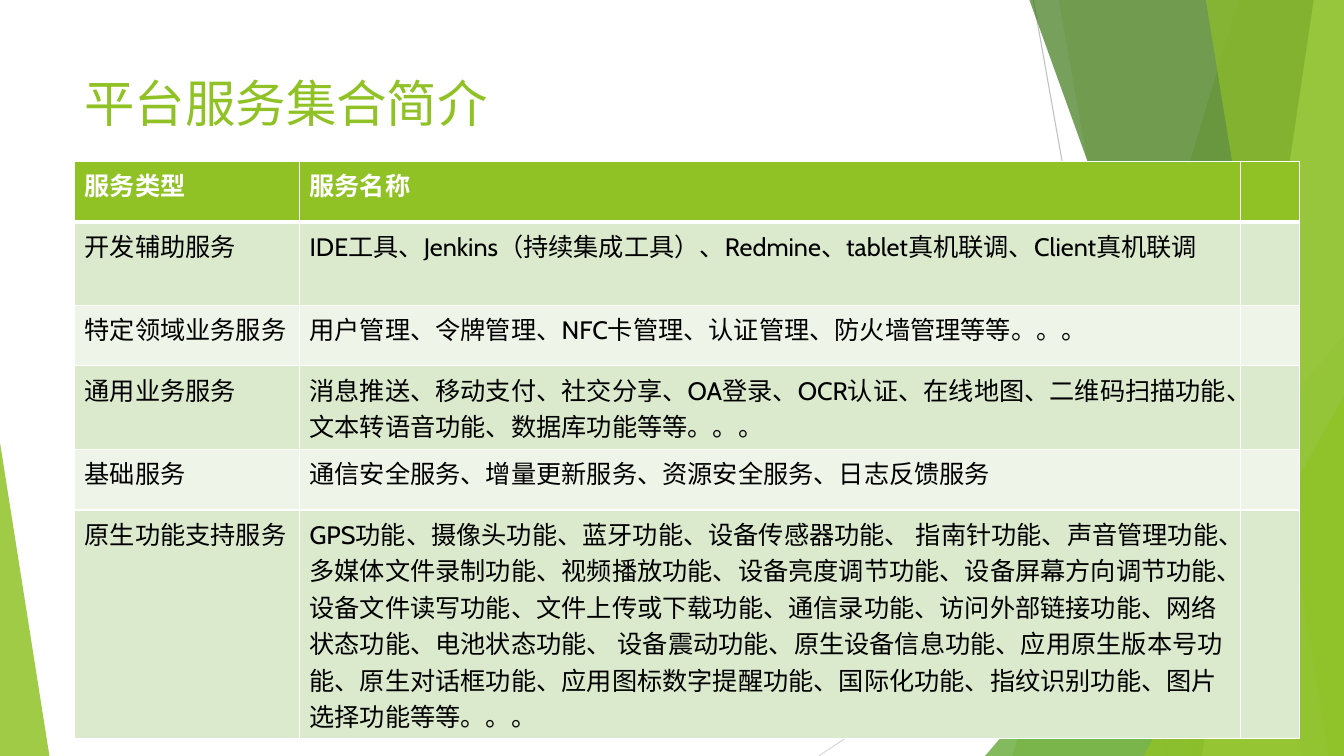
from dataclasses import dataclass

from lxml import etree
from pptx import Presentation
from pptx.dml.color import RGBColor
from pptx.enum import shapes, text
from pptx.oxml import ns
from pptx.util import Inches, Pt


@dataclass(frozen=True)
class Theme:
    font: str = "Cabin"
    title_size: int = 36
    body_size: int = 18
    green: str = "90C226"
    leaf: str = "54A021"
    forest: str = "3F7819"
    lime: str = "C0E474"
    band_dark: str = "DBE9CD"
    band_light: str = "EEF4E8"
    white: str = "FFFFFF"
    black: str = "000000"
    grey: str = "BFBFBF"
    light_grey: str = "D9D9D9"


THEME = Theme()
WIDTH, HEIGHT = 13.33, 7.5

COLUMN_WIDTHS = (2.23, 9.33, 0.59)
ONE_LINE, TWO_LINES, SIX_LINES = 0.6, 0.83, 2.27
ROW_HEIGHTS = (ONE_LINE, TWO_LINES, ONE_LINE, TWO_LINES, ONE_LINE, SIX_LINES)
SERVICES = (
    ("服务类型", "服务名称"),
    ("开发辅助服务",
     "IDE工具、Jenkins（持续集成工具）、Redmine、tablet真机联调、Client真机联调"),
    ("特定领域业务服务",
     "用户管理、令牌管理、NFC卡管理、认证管理、防火墙管理等等。。。"),
    ("通用业务服务",
     "消息推送、移动支付、社交分享、OA登录、OCR认证、在线地图、二维码扫描功能、"
     "文本转语音功能、数据库功能等等。。。"),
    ("基础服务", "通信安全服务、增量更新服务、资源安全服务、日志反馈服务"),
    ("原生功能支持服务",
     "GPS功能、摄像头功能、蓝牙功能、设备传感器功能、 指南针功能、声音管理功能、"
     "多媒体文件录制功能、视频播放功能、设备亮度调节功能、设备屏幕方向调节功能、"
     "设备文件读写功能、文件上传或下载功能、通信录功能、访问外部链接功能、"
     "网络状态功能、电池状态功能、 设备震动功能、原生设备信息功能、"
     "应用原生版本号功能、原生对话框功能、应用图标数字提醒功能、国际化功能、"
     "指纹识别功能、图片选择功能等等。。。"),
)


def rgb(color):
    return RGBColor.from_string(color)


def paint(shape, color, opacity):
    """Fill a shape with a see-through colour, without outline or shadow."""
    shape.shadow.inherit = False
    shape.line.fill.background()
    shape.fill.solid()
    shape.fill.fore_color.rgb = rgb(color)
    color_element = shape.fill._xPr.find(".//" + ns.qn("a:srgbClr"))
    etree.SubElement(color_element, ns.qn("a:alpha"), val=str(opacity * 1000))


def add_thin_line(slide, start, end, color):
    line = slide.shapes.add_connector(
        shapes.MSO_CONNECTOR.STRAIGHT, *map(Inches, start + end))
    line.line.color.rgb = rgb(color)
    line.line.width = Pt(0.75)
    etree.SubElement(line._element.spPr, ns.qn("a:effectLst"))


def add_shard(slide, top_x, bottom_x, color, opacity):
    """Add a full-height facet between a slanted edge and the right side."""
    builder = slide.shapes.build_freeform(Inches(top_x), 0)
    corners = ((WIDTH, 0), (WIDTH, HEIGHT), (bottom_x, HEIGHT))
    builder.add_line_segments([(Inches(x), Inches(y)) for x, y in corners])
    paint(builder.convert_to_shape(), color, opacity)


def add_corner(slide, left, top, width, apex, color, opacity):
    """Add a triangle that stands on the bottom edge of the slide."""
    corner = slide.shapes.add_shape(
        shapes.MSO_SHAPE.ISOSCELES_TRIANGLE,
        Inches(left), Inches(top), Inches(width), Inches(HEIGHT - top))
    corner.adjustments[0] = apex
    paint(corner, color, opacity)


def add_backdrop(slide):
    add_thin_line(slide, (10.25, 0), (11.58, HEIGHT), THEME.grey)
    add_thin_line(slide, (WIDTH, 4.03), (8.12, HEIGHT), THEME.light_grey)
    add_shard(slide, 12.28, 10.04, THEME.green, 30)
    add_shard(slide, 10.5, 11.83, THEME.green, 20)
    add_corner(slide, 9.77, 3.33, 3.56, 1, THEME.leaf, 72)
    add_shard(slide, 10.21, 12.91, THEME.forest, 70)
    add_shard(slide, 13.03, 11.92, THEME.lime, 70)
    add_shard(slide, 11.96, 13.18, THEME.green, 65)
    add_corner(slide, 11.34, 3.93, 1.99, 1, THEME.green, 80)
    add_corner(slide, 0, 4.39, 0.49, 0, THEME.green, 85)


def write(text_frame, content, size, color, bold=False):
    paragraph = text_frame.paragraphs[0]
    paragraph.text = content
    for run in paragraph.runs:
        run.font.name = THEME.font
        run.font.size = Pt(size)
        run.font.bold = bold
        run.font.color.rgb = rgb(color)


def add_title(slide, content):
    box = slide.shapes.add_textbox(
        Inches(0.74), Inches(0.67), Inches(9.4), Inches(1.44))
    box.text_frame.word_wrap = True
    box.text_frame.vertical_anchor = text.MSO_ANCHOR.TOP
    write(box.text_frame, content, THEME.title_size, THEME.green)


def set_borders(cell, top, bottom):
    properties = cell._tc.get_or_add_tcPr()
    for side, width in (("L", 1), ("R", 1), ("T", top), ("B", bottom)):
        border = etree.SubElement(
            properties, ns.qn(f"a:ln{side}"), w=str(Pt(width)))
        fill = etree.SubElement(border, ns.qn("a:solidFill"))
        etree.SubElement(fill, ns.qn("a:srgbClr"), val=THEME.white)


def add_service_table(slide):
    table = slide.shapes.add_table(
        len(SERVICES), len(COLUMN_WIDTHS), Inches(0.74), Inches(1.6),
        Inches(sum(COLUMN_WIDTHS)), Inches(sum(ROW_HEIGHTS))).table
    for column, width in zip(table.columns, COLUMN_WIDTHS):
        column.width = Inches(width)
    bands = (THEME.band_light, THEME.band_dark)
    for index, (row, height) in enumerate(zip(table.rows, ROW_HEIGHTS)):
        row.height = Inches(height)
        header = index == 0
        for cell in row.cells:
            set_borders(cell, 3 if index == 1 else 1, 3 if header else 1)
            cell.fill.solid()
            cell.fill.fore_color.rgb = rgb(
                THEME.green if header else bands[index % 2])
        for cell, content in zip(row.cells, SERVICES[index]):
            write(cell.text_frame, content, THEME.body_size,
                  THEME.white if header else THEME.black, header)


def main():
    presentation = Presentation()
    presentation.slide_width = Inches(WIDTH)
    presentation.slide_height = Inches(HEIGHT)
    slide = presentation.slides.add_slide(presentation.slide_layouts[6])
    add_backdrop(slide)
    add_title(slide, "平台服务集合简介")
    add_service_table(slide)
    presentation.save("out.pptx")


if __name__ == "__main__":
    main()
